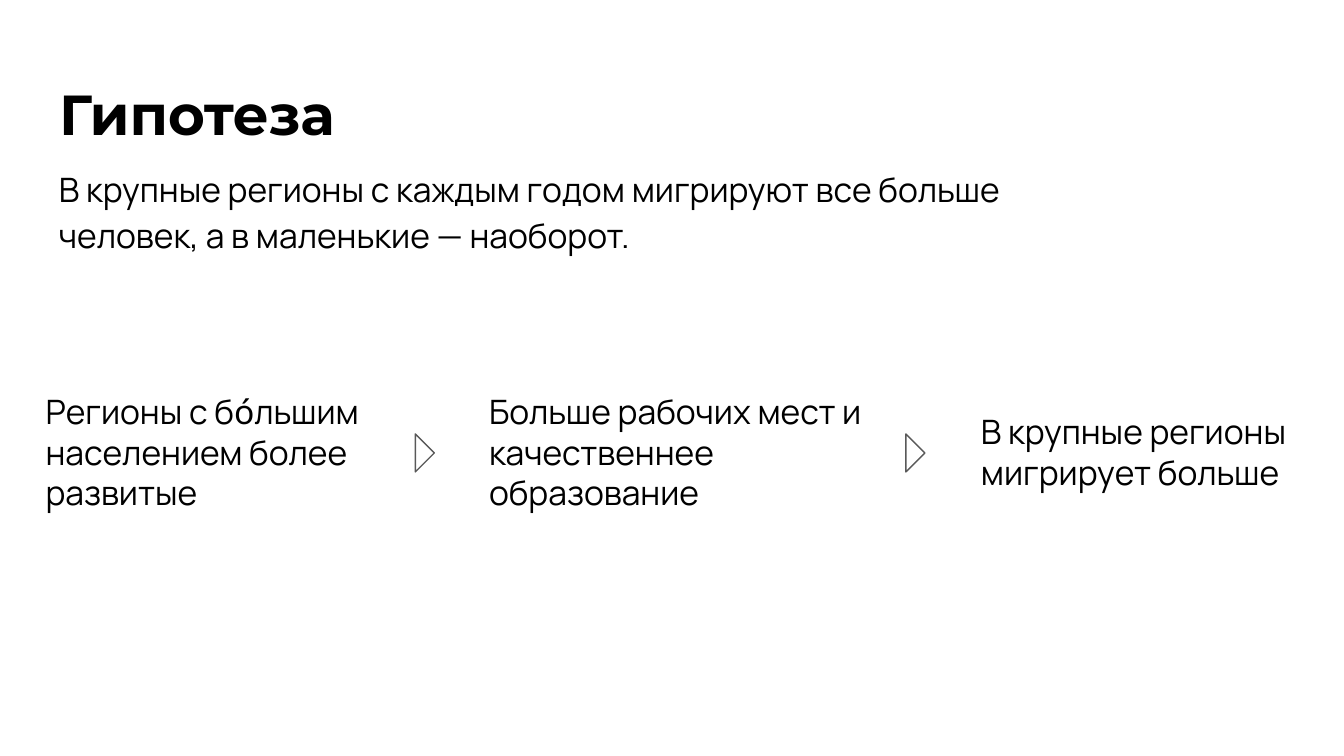
from dataclasses import dataclass

from pptx import Presentation
from pptx.dml.color import RGBColor
from pptx.enum.shapes import MSO_SHAPE
from pptx.enum.text import MSO_ANCHOR, MSO_AUTO_SIZE, PP_ALIGN
from pptx.util import Inches, Pt

TRIANGLE = MSO_SHAPE.RIGHT_TRIANGLE
TOP, MIDDLE = MSO_ANCHOR.TOP, MSO_ANCHOR.MIDDLE
FIXED, GROW = MSO_AUTO_SIZE.NONE, MSO_AUTO_SIZE.SHAPE_TO_FIT_TEXT
LEFT = PP_ALIGN.LEFT


@dataclass(frozen=True)
class Theme:
    ink: RGBColor = RGBColor(0, 0, 0)
    paper: RGBColor = RGBColor(255, 255, 255)
    edge: RGBColor = RGBColor(0x59, 0x59, 0x59)
    head_font: str = "Montserrat"
    text_font: str = "Manrope"
    head_size: float = 30.2
    text_size: float = 18
    edge_width: float = 0.75


THEME = Theme()
WIDTH = 10
HEIGHT = WIDTH * 9 / 16
PAD = 0.1
MARGIN = 0.34
MID = 3.36  # shared centre line of the steps
ARROW = 0.2
ARROW_TOP = 3.27

# Left, width, height, text
STEPS = [
    (0.24, 2.62, 1.11, "Регионы с бо́льшим населением более развитые"),
    (3.54, 3.02, 1.11, "Больше рабочих мест и качественнее образование"),
    (7.2, 2.56, 0.81, "В крупные регионы мигрирует больше"),
]
ARROWS = [2.99, 6.64]


def set_text(shape, text, font, size, bold=False, anchor=TOP, fit=FIXED):
    frame = shape.text_frame
    frame.text = text
    frame.word_wrap = True
    frame.auto_size = fit
    frame.vertical_anchor = anchor
    frame.margin_left = frame.margin_right = Inches(PAD)
    frame.margin_top = frame.margin_bottom = Inches(PAD)
    para = frame.paragraphs[0]
    para.alignment = LEFT
    para.font.name = font
    para.font.size = Pt(size)
    para.font.bold = bold
    para.font.color.rgb = THEME.ink
    return para


def add_title(slide, text):
    title = slide.shapes.title
    title.left, title.top = Inches(MARGIN), Inches(0.49)
    title.width, title.height = Inches(9.32), Inches(0.63)
    para = set_text(title, text, THEME.head_font, THEME.head_size, bold=True)
    para.line_spacing = 1.0


def add_text(slide, left, top, width, height, text, **style):
    box = slide.shapes.add_textbox(
        Inches(left), Inches(top), Inches(width), Inches(height))
    return set_text(box, text, THEME.text_font, THEME.text_size, **style)


def add_step(slide, left, width, height, text):
    add_text(slide, left, MID - height / 2, width, height, text,
             anchor=MIDDLE, fit=GROW)


def add_arrow(slide, left):
    arrow = slide.shapes.add_shape(
        TRIANGLE, Inches(left), Inches(ARROW_TOP),
        Inches(ARROW), Inches(ARROW))
    arrow.rotation = 225
    arrow.shadow.inherit = False
    arrow.fill.solid()
    arrow.fill.fore_color.rgb = THEME.paper
    arrow.line.color.rgb = THEME.edge
    arrow.line.width = Pt(THEME.edge_width)


def main():
    deck = Presentation()
    deck.slide_width, deck.slide_height = Inches(WIDTH), Inches(HEIGHT)
    slide = deck.slides.add_slide(deck.slide_layouts.get_by_name("Title Only"))
    slide.background.fill.solid()
    slide.background.fill.fore_color.rgb = THEME.paper

    # Title and hypothesis
    add_title(slide, "Гипотеза")
    lead = add_text(
        slide, MARGIN, 1.11, 8.23, 0.98,
        "В крупные регионы с каждым годом мигрируют все больше человек, "
        "а в маленькие — наоборот.")
    lead.line_spacing = 1.15
    lead.space_after = Pt(12)

    # Chain of reasoning
    for step in STEPS:
        add_step(slide, *step)
    for left in ARROWS:
        add_arrow(slide, left)

    deck.save("out.pptx")


if __name__ == "__main__":
    main()
